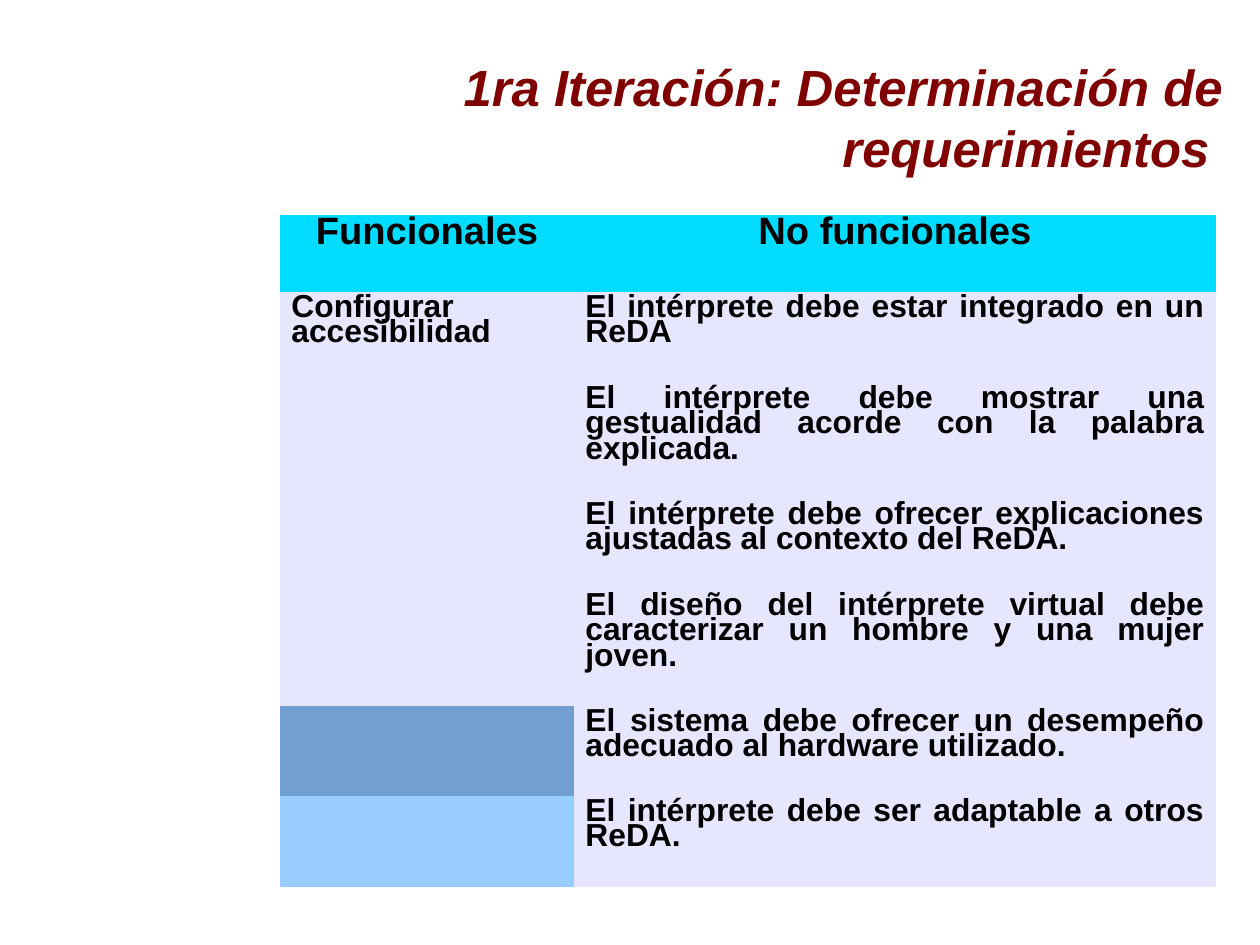
import pptx
import pptx.util
import pptx.dml.color
import pptx.enum.text
import pptx.oxml.ns

ALIGN = pptx.enum.text.PP_ALIGN
ANCHOR = pptx.enum.text.MSO_ANCHOR
EMU_PER_PX = 8000
PLAIN_TABLE_STYLE = "{2D5ABB26-0587-4C30-8999-92F81FD0307C}"
COLORS = {
    "title": "800000",
    "text": "000000",
    "header": "00DCFF",
    "body": "E6E6FF",
    "steel": "729FCF",
    "sky": "99CCFF",
}


def px(length):
    return pptx.util.Emu(length * EMU_PER_PX)


def rgb(name):
    return pptx.dml.color.RGBColor.from_string(COLORS[name])


class SlideBuilder:
    font_name = "Arial"

    def __init__(self, slide):
        self.slide = slide

    def set_text(self, frame, text, size, color, align, italic=False, spacing=None):
        frame.text = text
        paragraph = frame.paragraphs[0]
        paragraph.alignment = align
        if spacing:
            paragraph.line_spacing = spacing
        for run in paragraph.runs:
            run.font.name = self.font_name
            run.font.size = pptx.util.Pt(size)
            run.font.bold = True
            run.font.italic = italic
            run.font.color.rgb = rgb(color)

    def title(self, text, left, top, width, height):
        frame = self.slide.shapes.add_textbox(
            px(left), px(top), px(width), px(height)).text_frame
        frame.word_wrap = True
        frame.vertical_anchor = ANCHOR.MIDDLE
        frame.margin_left = frame.margin_right = 0
        frame.margin_top = frame.margin_bottom = 0
        self.set_text(frame, text, 32, "title", ALIGN.RIGHT, italic=True)

    def table(self, left, top, widths, heights):
        grid = self.slide.shapes.add_table(
            len(heights), len(widths), px(left), px(top),
            px(sum(widths)), px(sum(heights))).table
        grid.first_row = grid.horz_banding = False
        style = grid._tbl.tblPr.find(pptx.oxml.ns.qn("a:tableStyleId"))
        style.text = PLAIN_TABLE_STYLE
        for column, width in zip(grid.columns, widths):
            column.width = px(width)
        for row, height in zip(grid.rows, heights):
            row.height = px(height)
        return grid

    def cell(self, cell, fill, text="", size=20, align=ALIGN.JUSTIFY):
        cell.fill.solid()
        cell.fill.fore_color.rgb = rgb(fill)
        if text:
            self.set_text(cell.text_frame, text, size, "text", align, spacing=0.71)


def main():
    presentation = pptx.Presentation()
    presentation.slide_width = px(1260)
    presentation.slide_height = px(945)
    builder = SlideBuilder(
        presentation.slides.add_slide(presentation.slide_layouts[6]))

    builder.title("1ra Iteración: Determinación de requerimientos ",
                  455, 38, 769, 158)

    headings = ["Funcionales", "No funcionales"]
    functional = [
        ("body", "Configurar accesibilidad"),
        ("body", ""),
        ("body", ""),
        ("body", ""),
        ("steel", ""),
        ("sky", ""),
    ]
    non_functional = [
        "El intérprete debe estar integrado en un ReDA",
        "El intérprete debe mostrar una gestualidad acorde con la palabra explicada.",
        "El intérprete debe ofrecer explicaciones ajustadas al contexto del ReDA.",
        "El diseño del intérprete virtual debe caracterizar un hombre y una mujer joven.",
        "El sistema debe ofrecer un desempeño adecuado al hardware utilizado.",
        "El intérprete debe ser adaptable a otros ReDA.",
    ]
    requirements = builder.table(
        280, 215, [294, 642], [77, 91, 116, 91, 116, 90, 91])
    for column, heading in enumerate(headings):
        builder.cell(requirements.cell(0, column), "header", heading, 24, ALIGN.CENTER)
    rows = zip(functional, non_functional)
    for row, ((fill, feature), quality) in enumerate(rows, start=1):
        builder.cell(requirements.cell(row, 0), fill, feature)
        builder.cell(requirements.cell(row, 1), "body", quality)
    requirements.cell(1, 0).merge(requirements.cell(4, 0))

    presentation.save("out.pptx")


if __name__ == "__main__":
    main()
